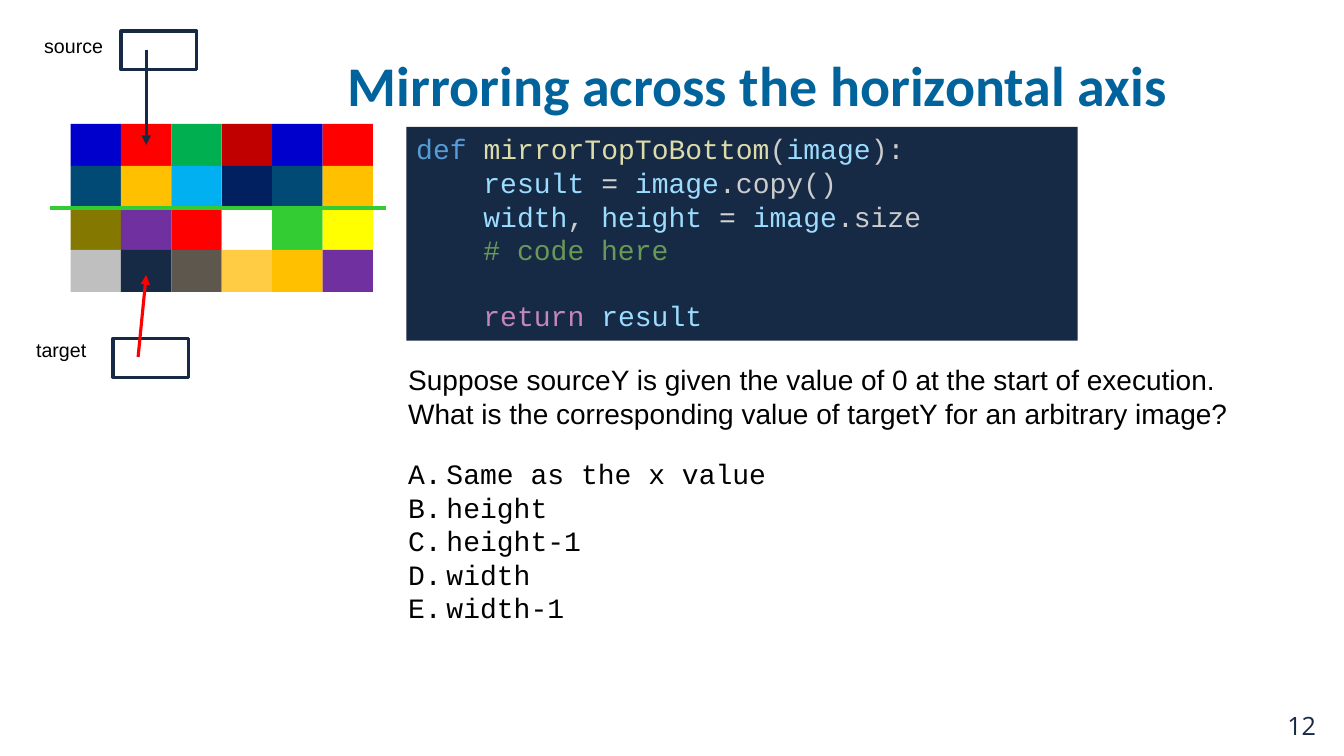
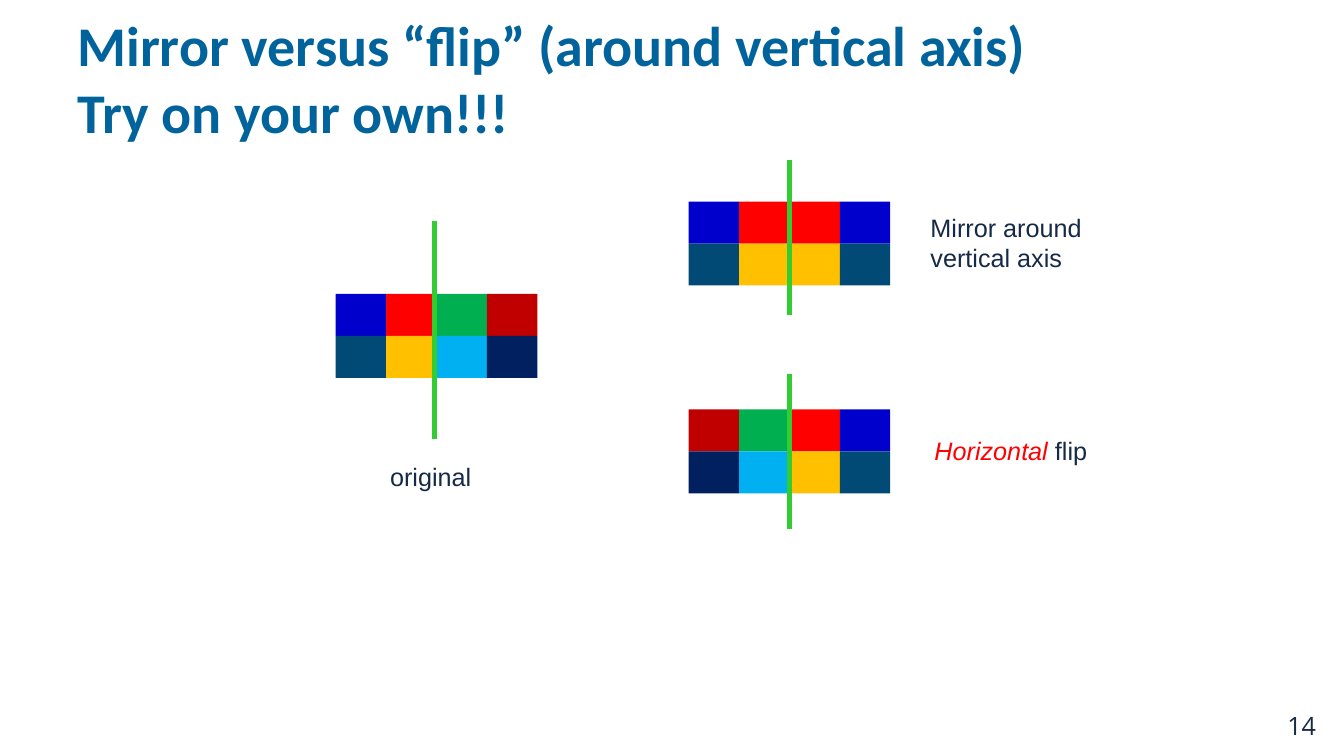
from lxml.etree import SubElement
from pptx import Presentation
from pptx.dml.color import RGBColor
from pptx.enum.shapes import MSO_CONNECTOR, MSO_SHAPE
from pptx.enum.text import MSO_ANCHOR, PP_ALIGN
from pptx.oxml.ns import qn
from pptx.util import Inches, Pt

WIDTH, HEIGHT = Inches(13.33), Inches(7.5)
COLUMN, ROW = Inches(0.5), HEIGHT / 18

NAVY, BLUE, BLACK, RED, GREEN = "162A46", "01639C", "000000", "FF0000", "33CC33"
KEYWORD, NAME, CALL, PLAIN, OPERATOR = "569CD6", "9CDCFE", "DCDCAA", "CCCCCC", "D4D4D4"
COMMENT, RETURN = "6A9955", "C586C0"

TITLE = {"name": "Calibri", "size": Pt(40), "bold": True}
NUMBER = {"name": "Open Sans", "size": Pt(18)}
LABEL = {"name": "Arial", "size": Pt(18)}
SMALL = {"name": "Arial", "size": Pt(14)}
BODY = {"name": "Arial", "size": Pt(20)}
CODE = {"name": "Courier New", "size": Pt(20)}
CODE_INDENT = Pt(48)
CODE_LINE = Pt(22.7)
OPTION_INDENT = Inches(0.38)

SAMPLE = [
    ["0000CC", "FF0000", "00B050", "C00000"],
    ["014A75", "FFC000", "00B0F0", "002060"],
]
IMAGE = [tiles + tiles[:2] for tiles in SAMPLE] + [
    ["847801", "7030A0", "FF0000", "FFFFFF", "33CC33", "FFFF00"],
    ["BFBFBF", "162A46", "5E574D", "FFCC44", "FFC000", "7030A0"],
]
MIRRORED = [tiles[:2] + tiles[1::-1] for tiles in SAMPLE]
FLIPPED = [tiles[::-1] for tiles in SAMPLE]

PROGRAM = [
    (0, 0, [("def ", KEYWORD), ("mirrorTopToBottom", CALL), ("(", PLAIN),
            ("image", NAME), ("):", PLAIN)]),
    (1, 0, [("result ", NAME), ("= ", OPERATOR), ("image", NAME), (".copy()", PLAIN)]),
    (1, 0, [("width", NAME), (", ", PLAIN), ("height ", NAME), ("= ", OPERATOR),
            ("image", NAME), (".size", PLAIN)]),
    (1, 0, [("# code here", COMMENT)]),
    (1, 1, [("return ", RETURN), ("result", NAME)]),
]
QUESTION = [
    "Suppose sourceY is given the value of 0 at the start of execution.",
    "What is the corresponding value of targetY for an arbitrary image?",
]
OPTIONS = ["Same as the x value", "height", "height-1", "width", "width-1"]


def color(code):
    return RGBColor.from_string(code)


def grid(*lengths):
    return [round(length * (ROW if place % 2 else COLUMN))
            for place, length in enumerate(lengths)]


def write(paragraph, runs, style):
    for number, (words, code, *changes) in enumerate(runs):
        for part, line in enumerate(words.split("\n")):
            if part:
                paragraph.add_line_break()
            run = paragraph.add_run()
            run.text = line
            run.font.color.rgb = color(code)
            for key, value in {**style, **(changes[0] if changes else {})}.items():
                setattr(run.font, key, value)


def paragraphs(frame, lines, style):
    frame.word_wrap = True
    for number, runs in enumerate(lines):
        paragraph = frame.add_paragraph() if number else frame.paragraphs[0]
        paragraph.alignment = PP_ALIGN.LEFT
        write(paragraph, runs, style)
    return frame


def text(slide, area, runs, style):
    return paragraphs(slide.shapes.add_textbox(*grid(*area)).text_frame, [runs], style)


def rectangle(shapes, area, fill=None, outline=None):
    shape = shapes.add_shape(MSO_SHAPE.RECTANGLE, *grid(*area))
    shape.shadow.inherit = False
    if fill:
        shape.fill.solid()
        shape.fill.fore_color.rgb = color(fill)
    else:
        shape.fill.background()
    if outline:
        shape.line.color.rgb = color(outline)
        shape.line.width = Pt(2.25)
        SubElement(shape.element.spPr.find(qn("a:ln")), qn("a:round"))
    else:
        shape.line.fill.background()
    return shape


def line(slide, ends, code, weight, arrow=False):
    connector = slide.shapes.add_connector(MSO_CONNECTOR.STRAIGHT, *grid(*ends))
    connector.line.color.rgb = color(code)
    connector.line.width = Pt(weight)
    properties = connector.element.spPr
    if arrow:
        SubElement(properties.find(qn("a:ln")), qn("a:tailEnd"), type="triangle")
    SubElement(properties, qn("a:effectLst"))


def axis(slide, *ends):
    line(slide, ends, GREEN, 3)


def mosaic(slide, left, top, rows):
    shapes = slide.shapes.add_group_shape().shapes
    for down, tiles in enumerate(rows):
        for across, fill in enumerate(tiles):
            rectangle(shapes, (left + across, top + down, 1, 1), fill)


def pointer(slide, word, label, box, tip, code):
    text(slide, label, [(word, BLACK)], SMALL)
    left, top = box
    rectangle(slide.shapes, (left, top, 1.5, 0.92), outline=NAVY)
    line(slide, (left + 0.5, top + 0.44, *tip), code, 2.25, arrow=True)


def code_block(slide, area):
    frame = rectangle(slide.shapes, area, NAVY).text_frame
    frame.vertical_anchor = MSO_ANCHOR.TOP
    paragraphs(frame, [runs for _, _, runs in PROGRAM], CODE)
    for paragraph, (level, gap, _) in zip(frame.paragraphs, PROGRAM):
        paragraph.space_before = gap * CODE_LINE
        paragraph._p.get_or_add_pPr().set("marL", str(level * CODE_INDENT))


def options(slide, area):
    frame = slide.shapes.add_textbox(*grid(*area)).text_frame
    paragraphs(frame, [[(option, BLACK)] for option in OPTIONS], CODE)
    for paragraph in frame.paragraphs:
        properties = paragraph._p.get_or_add_pPr()
        properties.set("marL", str(OPTION_INDENT))
        properties.set("indent", str(-OPTION_INDENT))
        SubElement(properties, qn("a:buAutoNum"), type="alphaUcPeriod")


def new_slide(deck, number, title, area, alignment):
    slide = deck.slides.add_slide(deck.slide_layouts[6])
    text(slide, (25.34, 16.8, 1, 0.96), [(number, NAVY)], NUMBER)
    heading = text(slide, area, [(title, BLUE)], TITLE)
    heading.vertical_anchor = MSO_ANCHOR.MIDDLE
    heading.paragraphs[0].alignment = alignment
    return slide


def mirroring(deck):
    slide = new_slide(deck, "12", "Mirroring across the horizontal axis",
                      (4.84, 0.4, 18.5, 3.2), PP_ALIGN.RIGHT)
    left, top = 1.4, 2.95
    mosaic(slide, left, top, IMAGE)
    axis(slide, 7.66, top + 2, 1, top + 2)
    pointer(slide, "source", (0.68, 0.7, 1.92, 0.96), (2.4, 0.74),
            (left + 1.5, top + 0.5), NAVY)
    pointer(slide, "target", (0.52, 7.94, 2.88, 0.96), (2.24, 8.06),
            (left + 1.5, top + 3.6), RED)
    code_block(slide, (8.06, 3.02, 13.32, 5.09))
    text(slide, (7.9, 8.52, 17.9, 1.85), [("\n".join(QUESTION), BLACK)], BODY)
    options(slide, (7.9, 10.75, 10, 5.09))


def flipping(deck):
    slide = new_slide(deck, "14",
                      "Mirror versus “flip” (around vertical axis)\nTry on your own!!!",
                      (1.34, 0.14, 24, 3.4), PP_ALIGN.LEFT)
    results = 13.66
    mosaic(slide, 6.66, 7, SAMPLE)
    mosaic(slide, results, 4.8, MIRRORED)
    mosaic(slide, results, 9.75, FLIPPED)
    axis(slide, 8.62, 5.26, 8.62, 10.46)
    for top in (3.8, 8.9):
        axis(slide, results + 2, top, results + 2, top + 3.7)
    text(slide, (7.54, 10.87, 2.16, 0.96), [("original", NAVY)], LABEL)
    text(slide, (18.34, 10.25, 4, 0.96),
         [("Horizontal ", RED, {"italic": True}), ("flip", NAVY)], LABEL)
    text(slide, (18.26, 4.94, 3.58, 1.7), [("Mirror around vertical axis", NAVY)], LABEL)


def main():
    deck = Presentation()
    deck.slide_width, deck.slide_height = WIDTH, HEIGHT
    mirroring(deck)
    flipping(deck)
    deck.save("out.pptx")


if __name__ == "__main__":
    main()
